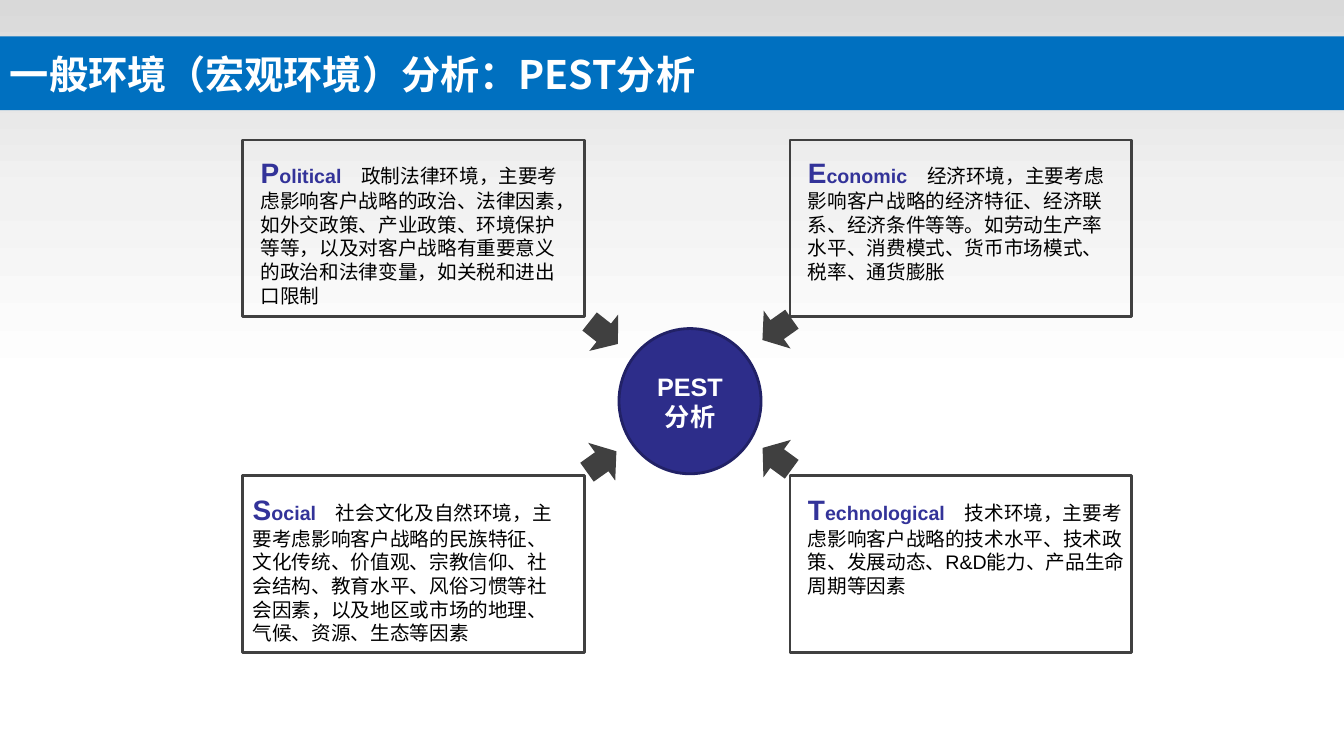
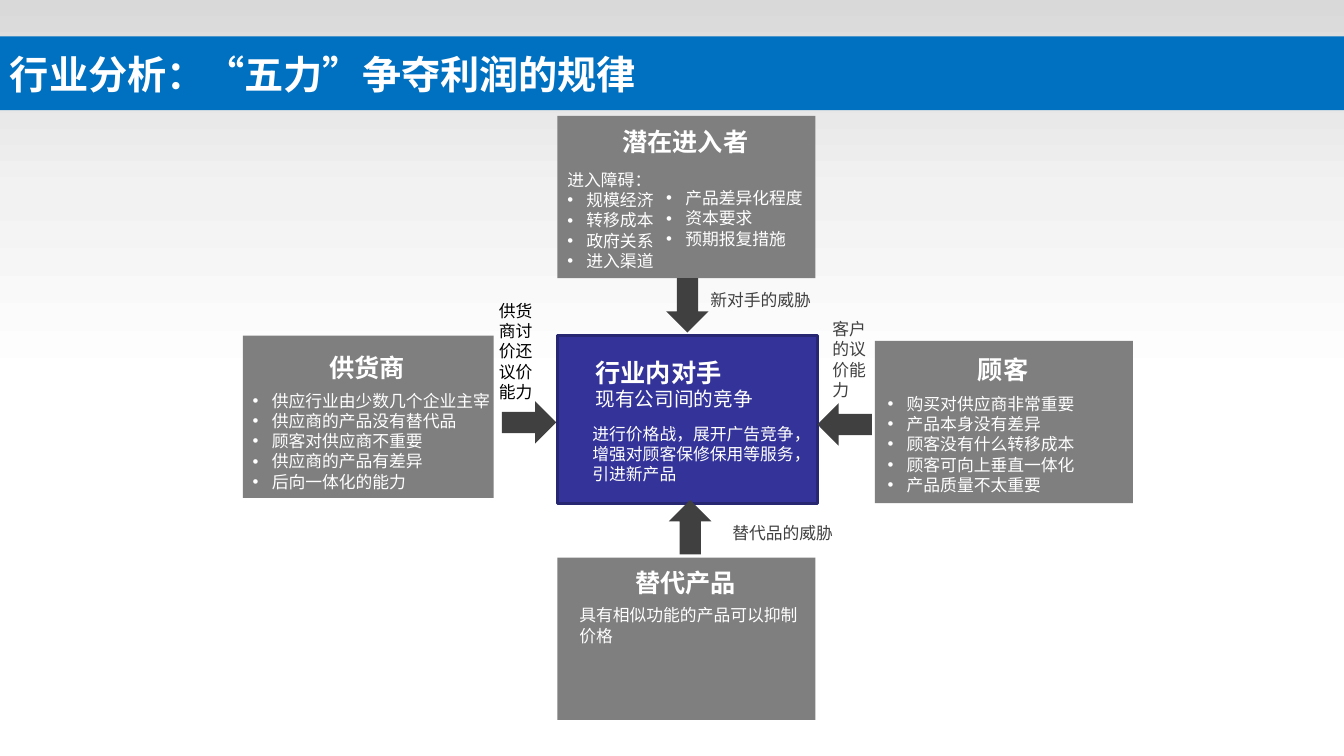
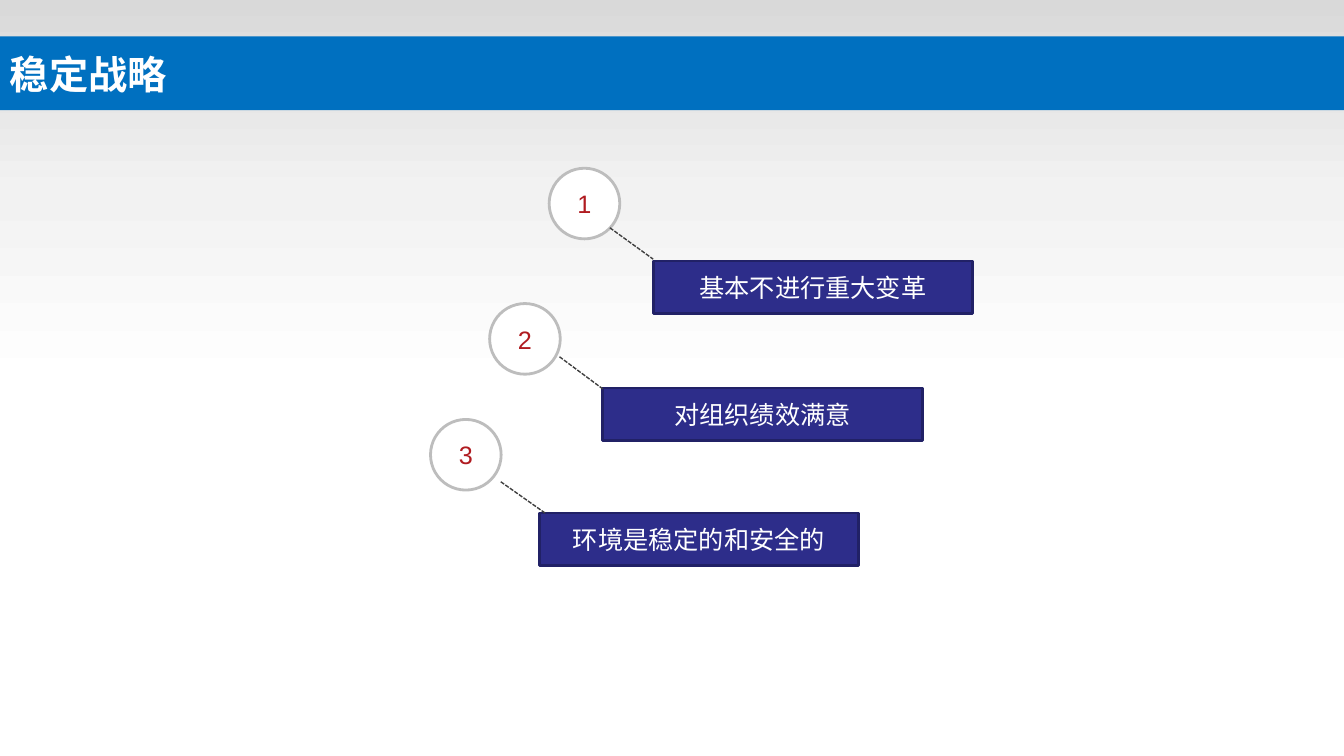
import dataclasses
import typing

import lxml.etree
import pptx
import pptx.dml.color
import pptx.enum.dml
import pptx.enum.shapes
import pptx.enum.text
import pptx.oxml.ns
import pptx.util

Cm = pptx.util.Cm
Pt = pptx.util.Pt
KIND = pptx.enum.shapes.MSO_SHAPE
ALIGN = pptx.enum.text.PP_ALIGN
ANCHOR = pptx.enum.text.MSO_ANCHOR
qn = pptx.oxml.ns.qn


@dataclasses.dataclass(frozen=True)
class Theme:
    blue: str = "0070C0"
    navy: str = "2D2D8A"
    edge: str = "212166"
    indigo: str = "333399"
    rim: str = "262671"
    dark: str = "404040"
    gray: str = "7F7F7F"
    ring: str = "BDBDBD"
    red: str = "B01B20"
    white: str = "FFFFFF"
    black: str = "000000"
    haze: tuple[str, ...] = ("D9D9D9", "F2F2F2", "FFFFFF")
    sans: str = "Arial"
    han: str = "Noto Sans CJK SC"
    title: int = 28
    cap: int = 20
    head: int = 18
    body: int = 14
    note: int = 12
    pitch: float = 1.21


T = Theme()


class Box(typing.NamedTuple):
    x: float
    y: float
    w: float
    h: float


class Run(typing.NamedTuple):
    text: str
    size: int = T.note
    color: str = T.white
    bold: bool = False
    font: str = T.sans


class Para(typing.NamedTuple):
    runs: list[Run]
    dot: bool = False
    align: typing.Any = None


class Factor(typing.NamedTuple):
    x: float
    y: float
    dx: float
    dy: float
    w: float
    cap: str
    word: str
    text: str


class Force(typing.NamedTuple):
    box: Box
    head: str
    drop: float


class Note(typing.NamedTuple):
    box: Box
    paras: list[Para]


class Arrow(typing.NamedTuple):
    x: float
    y: float
    turn: float


class Step(typing.NamedTuple):
    ring: tuple[float, float]
    bar: tuple[float, float]
    start: tuple[float, float]
    end: tuple[float, float]
    text: str


def rgb(code: str) -> typing.Any:
    return pptx.dml.color.RGBColor.from_string(code)


def apply(item: typing.Any, form: dict[str, typing.Any]) -> None:
    for key, val in form.items():
        setattr(item, key, val)


def one(*args: typing.Any, align: typing.Any = None) -> list[Para]:
    return [Para([Run(*args)], align=align)]


def dots(*lines: str) -> list[Para]:
    return [Para([Run(line)], dot=True) for line in lines]


def write(frame: typing.Any, paras: list[Para], tight: bool = True) -> None:
    frame.word_wrap = True
    for rank, para in enumerate(paras):
        item = frame.paragraphs[0] if rank == 0 else frame.add_paragraph()
        if para.dot:
            props = item._p.get_or_add_pPr()
            inset = Cm(0.48)
            props.set("marL", str(inset))
            props.set("indent", str(-inset))
            lxml.etree.SubElement(props, qn("a:buFont")).set("typeface", T.sans)
            lxml.etree.SubElement(props, qn("a:buChar")).set("char", "•")
        item.alignment = para.align or ALIGN.LEFT
        if tight:
            item.line_spacing = Pt(round(T.pitch * para.runs[-1].size, 1))
        for run in para.runs:
            part = item.add_run()
            part.text = run.text
            apply(part.font, {"size": Pt(run.size), "bold": run.bold, "name": run.font})
            part.font.color.rgb = rgb(run.color)
            east = lxml.etree.SubElement(part._r.get_or_add_rPr(), qn("a:ea"))
            east.set("typeface", T.han)


def shape(
    slide: typing.Any,
    box: Box,
    fill: str | None = None,
    line: str | None = None,
    kind: typing.Any = KIND.RECTANGLE,
    turn: float = 0,
) -> typing.Any:
    item = slide.shapes.add_shape(kind, *map(Cm, box))
    item.shadow.inherit = False
    item.rotation = turn
    if fill:
        item.fill.solid()
        item.fill.fore_color.rgb = rgb(fill)
    else:
        item.fill.background()
    if line:
        item.line.color.rgb = rgb(line)
        item.line.width = Pt(2)
    else:
        item.line.fill.background()
    item.text_frame.vertical_anchor = ANCHOR.MIDDLE
    return item


def label(slide: typing.Any, box: Box, paras: list[Para], top: float = 0.13) -> None:
    frame = slide.shapes.add_textbox(*map(Cm, box)).text_frame
    frame.margin_top = Cm(top)
    write(frame, paras)


def link(slide: typing.Any, start: tuple[float, float], end: tuple[float, float]) -> None:
    kind = pptx.enum.shapes.MSO_CONNECTOR.STRAIGHT
    item = slide.shapes.add_connector(kind, *map(Cm, start + end))
    item.line.color.rgb = rgb(T.dark)
    apply(item.line, {"width": Pt(1), "dash_style": pptx.enum.dml.MSO_LINE.SQUARE_DOT})
    lxml.etree.SubElement(item._element.spPr, qn("a:effectLst"))


def arrows(slide: typing.Any, w: float, h: float, items: list[Arrow]) -> None:
    for x, y, turn in items:
        shape(slide, Box(x, y, w, h), T.dark, kind=KIND.RIGHT_ARROW, turn=turn)


def start(deck: typing.Any, title: str) -> typing.Any:
    slide = deck.slides.add_slide(deck.slide_layouts[6])
    glow = shape(slide, Box(0, 0, 33.87, 9.73))
    glow.fill.gradient()
    glow.fill.gradient_angle = 270
    stops = glow._element.spPr.find(qn("a:gradFill")).find(qn("a:gsLst"))
    for stop in list(stops):
        stops.remove(stop)
    for rank, code in enumerate(T.haze):
        stop = lxml.etree.SubElement(stops, qn("a:gs"))
        stop.set("pos", str(rank * 50000))
        lxml.etree.SubElement(stop, qn("a:srgbClr")).set("val", code)
    shape(slide, Box(0, 1.93, 33.87, 0.61), T.haze[0])
    band = shape(slide, Box(0, 0.92, 33.87, 1.86), T.blue)
    write(band.text_frame, one(title, T.title, T.white, True, T.han), tight=False)
    return slide


FACTORS = [
    Factor(6.12, 3.53, 0.2, 0.25, 8.2, "P", "olitical",
           "政制法律环境，主要考虑影响客户战略的政治、法律因素，如外交政策、产业政策、环境保护等等，"
           "以及对客户战略有重要意义的政治和法律变量，如关税和进出口限制"),
    Factor(19.91, 3.53, 0.2, 0.25, 8.2, "E", "conomic",
           "经济环境，主要考虑影响客户战略的经济特征、经济联系、经济条件等等。"
           "如劳动生产率水平、消费模式、货币市场模式、税率、通货膨胀"),
    Factor(6.12, 11.99, 0, 0.3, 8.2, "S", "ocial",
           "社会文化及自然环境，主要考虑影响客户战略的民族特征、文化传统、价值观、宗教信仰、社会结构、"
           "教育水平、风俗习惯等社会因素，以及地区或市场的地理、气候、资源、生态等因素"),
    Factor(19.91, 11.99, 0.2, 0.3, 8.66, "T", "echnological",
           "技术环境，主要考虑影响客户战略的技术水平、技术政策、发展动态、R&D能力、产品生命周期等因素"),
]

FORCES = [
    Force(Box(6.12, 8.46, 6.32, 4.09), "供货商", 0.28),
    Force(Box(22.05, 8.59, 6.5, 4.09), "顾客", 0.2),
    Force(Box(14.05, 14.05, 6.5, 4.09), "替代产品", 0.1),
    Force(Box(14.05, 2.92, 6.5, 4.09), "潜在进入者", 0.13),
]

NOTES = [
    Note(Box(6.12, 9.7, 6.6, 2.82),
         dots("供应行业由少数几个企业主宰", "供应商的产品没有替代品", "顾客对供应商不重要",
              "供应商的产品有差异", "后向一体化的能力")),
    Note(Box(22.12, 9.78, 5.59, 2.82),
         dots("购买对供应商非常重要", "产品本身没有差异", "顾客没有什么转移成本",
              "顾客可向上垂直一体化", "产品质量不太重要")),
    Note(Box(14.35, 15.11, 6.27, 1.27), one("具有相似功能的产品可以抑制价格")),
    Note(Box(14.05, 4.14, 4.78, 2.82),
         one("进入障碍：") + dots("规模经济", "转移成本", "政府关系", "进入渠道")),
    Note(Box(16.54, 4.6, 3.99, 2.82), dots("产品差异化程度", "资本要求", "预期报复措施")),
    Note(Box(14.68, 10.54, 5.97, 1.8),
         one("进行价格战，展开广告竞争，增强对顾客保修保用等服务，引进新产品")),
    Note(Box(14.76, 8.86, 5.66, 1.63),
         one("行业内对手", T.head, T.white, True) + one("现有公司间的竞争", T.body)),
    Note(Box(16.87, 7.16, 4.6, 0.76),
         one("新对手的威胁", T.note, T.dark, False, T.han, align=ALIGN.CENTER)),
    Note(Box(12.32, 7.44, 1.6, 2.82), one("供货商讨价还议价能力", T.note, T.black)),
    Note(Box(20.73, 7.9, 1.42, 2.31), one("客户的议价能力", T.note, T.dark, False, T.han)),
    Note(Box(18.19, 13.03, 3.07, 0.76),
         one("替代品的威胁", T.note, T.dark, False, T.han, align=ALIGN.CENTER)),
]

STEPS = [
    Step((13.84, 4.24), (16.46, 6.58), (15.37, 5.74), (16.46, 6.53), "基本不进行重大变革"),
    Step((12.34, 7.65), (15.19, 9.78), (14.1, 8.99), (15.19, 9.8), "对组织绩效满意"),
    Step((10.85, 10.57), (13.59, 12.93), (12.62, 12.14), (13.74, 12.93), "环境是稳定的和安全的"),
]


def pest(deck: typing.Any) -> None:
    slide = start(deck, "一般环境（宏观环境）分析：PEST分析")
    for item in FACTORS:
        shape(slide, Box(item.x, item.y, 8.61, 4.45), line=T.dark)
        runs = [
            Run(item.cap, T.cap, T.indigo, True),
            Run(item.word + "　", T.body, T.indigo, True),
            Run(item.text, T.body, T.black),
        ]
        label(slide, Box(item.x + item.dx, item.y + item.dy, item.w, 4.11), [Para(runs)], 0.38)
    core = shape(slide, Box(15.6, 8.28, 3.58, 3.66), T.navy, T.edge, KIND.OVAL)
    write(core.text_frame, one("PEST分析", T.head, T.white, True, align=ALIGN.CENTER))
    arrows(slide, 0.91, 1.17, [
        Arrow(14.76, 7.8, 38.4), Arrow(19.13, 7.72, 144.7),
        Arrow(19.13, 10.97, 216.2), Arrow(14.71, 11.05, 324.5),
    ])


def five(deck: typing.Any) -> None:
    slide = start(deck, "行业分析：“五力”争夺利润的规律")
    shape(slide, Box(14.05, 8.46, 6.55, 4.22), T.indigo, T.rim)
    for box, head, drop in FORCES:
        shape(slide, box, T.gray)
        wide = round(len(head) * 0.64 + 0.53, 2)
        spot = Box(box.x + (box.w - wide) / 2, box.y + drop, wide, 1.02)
        label(slide, spot, one(head, T.head, T.white, True))
    arrows(slide, 1.37, 1.07, [
        Arrow(16.64, 7.16, 90), Arrow(16.71, 12.75, 270),
        Arrow(12.65, 10.11, 0), Arrow(20.6, 10.16, 180),
    ])
    for note in NOTES:
        label(slide, note.box, note.paras)


def steady(deck: typing.Any) -> None:
    slide = start(deck, "稳定战略")
    for rank, step in enumerate(STEPS, 1):
        ring = shape(slide, Box(*step.ring, 1.78, 1.78), T.white, T.ring, KIND.OVAL)
        write(ring.text_frame, one(str(rank), T.head, T.red, align=ALIGN.CENTER))
        bar = shape(slide, Box(*step.bar, 8.05, 1.32), T.navy, T.edge)
        write(bar.text_frame, one(step.text, T.head, align=ALIGN.CENTER))
        link(slide, step.start, step.end)


def main() -> None:
    deck = pptx.Presentation()
    apply(deck, {"slide_width": Cm(33.87), "slide_height": Cm(19.05)})
    for build in (pest, five, steady):
        build(deck)
    deck.save("out.pptx")


if __name__ == "__main__":
    main()
